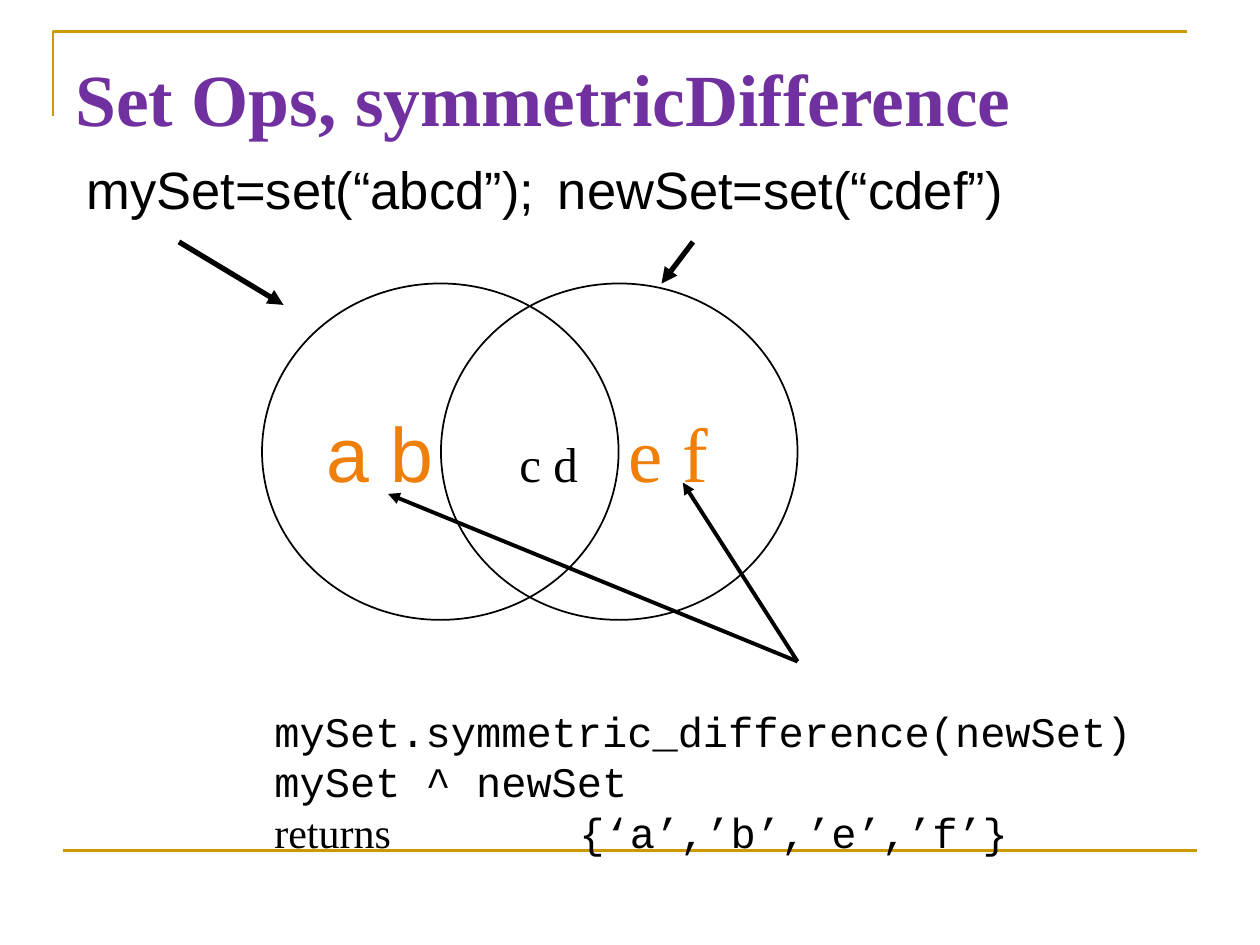
from pptx import Presentation
from pptx.util import Inches, Pt
from pptx.dml.color import RGBColor
from pptx.enum.shapes import MSO_SHAPE, MSO_CONNECTOR
from pptx.enum.text import PP_ALIGN, MSO_ANCHOR
from pptx.oxml.ns import qn
from lxml import etree

OVAL, STRAIGHT = MSO_SHAPE.OVAL, MSO_CONNECTOR.STRAIGHT
LEFT, CENTER, MIDDLE = PP_ALIGN.LEFT, PP_ALIGN.CENTER, MSO_ANCHOR.MIDDLE
COLORS = {"gold": "CC9900", "purple": "7030A0", "black": "000000", "orange": "F07F09"}
SERIF, SANS, MONO = "Times New Roman", "Arial", "Courier New"

deck = Presentation()
deck.slide_width, deck.slide_height = Inches(10), Inches(7.5)
page = deck.slides.add_slide(deck.slide_layouts[6])


def write(para, text, size, font, color="black", bold=False, tab=None):
    span = para.add_run()
    span.text = text
    span.font.size, span.font.name, span.font.bold = Pt(size), font, bold
    span.font.color.rgb = RGBColor.from_string(COLORS[color])
    if tab:
        stops = etree.SubElement(para._p.get_or_add_pPr(), qn("a:tabLst"))
        etree.SubElement(stops, qn("a:tab"), pos=str(Inches(tab)), algn="l")


def draw_line(start, end, width, color="black", arrow=True):
    line = page.shapes.add_connector(STRAIGHT, *[Inches(v) for v in start + end])
    line.line.width = Pt(width)
    line.line.color.rgb = RGBColor.from_string(COLORS[color])
    if arrow:
        etree.SubElement(line.line._get_or_add_ln(), qn("a:tailEnd"), type="triangle")
    etree.SubElement(line._element.spPr, qn("a:effectLst"))


# Frame: corner at the top, rule at the bottom
builder = page.shapes.build_freeform(Inches(0.42), Inches(0.92))
builder.add_line_segments([(Inches(0.42), Inches(0.25)), (Inches(9.42), Inches(0.25))], close=False)
corner = builder.convert_to_shape()
corner.shadow.inherit = False
corner.fill.background()
corner.line.width = Pt(1.5)
corner.line.color.rgb = RGBColor.from_string(COLORS["gold"])
draw_line((0.5, 6.75), (9.5, 6.75), 1.5, "gold", arrow=False)

# Title, set definitions and code
boxes = []
for left, top, width, height in [(0.5, 0.37, 9, 0.8), (0.59, 1.2, 9, 0.65), (2.08, 5.55, 7.5, 1.3)]:
    box = page.shapes.add_textbox(Inches(left), Inches(top), Inches(width), Inches(height))
    box.text_frame.word_wrap = True
    boxes.append(box.text_frame)
title, definitions, code = boxes
write(title.paragraphs[0], "Set Ops, symmetricDifference", 42, SERIF, "purple", bold=True)
write(definitions.paragraphs[0], "mySet=set(“abcd”);\tnewSet=set(“cdef”)", 30, SANS, tab=3.74)
write(code.paragraphs[0], "mySet.symmetric_difference(newSet)", 24, MONO)
write(code.add_paragraph(), "mySet ^ newSet", 24, MONO)
result = code.add_paragraph()
write(result, "returns\t", 24, SERIF, tab=2.42)
write(result, "{‘a’,’b’,’e’,’f’}", 24, MONO)
for para in code.paragraphs:
    para.line_spacing = Pt(28.8)

# Venn circles with their members
circles = [
    (3.5, CENTER, 0.88, [("e f", 44, SERIF, "orange", None)]),
    (2.08, LEFT, 0.1, [("a b", 44, SANS, "orange", 1.53), ("\tc d", 28, SERIF, "black", None)]),
]
for left, align, inset, members in circles:
    circle = page.shapes.add_shape(OVAL, Inches(left), Inches(2.25), Inches(2.83), Inches(2.67))
    circle.shadow.inherit = False
    circle.fill.background()
    circle.line.width = Pt(1)
    circle.line.color.rgb = RGBColor.from_string(COLORS["black"])
    frame = circle.text_frame
    frame.word_wrap = False
    frame.vertical_anchor = MIDDLE
    frame.margin_left = Inches(inset)
    para = frame.paragraphs[0]
    para.alignment = align
    for text, size, font, color, tab in members:
        write(para, text, size, font, color, tab=tab)

# Arrows to the sets and to the result members
draw_line((1.42, 1.92), (2.25, 2.42), 3)
draw_line((5.5, 1.92), (5.25, 2.25), 3)
for tip in [(3.08, 3.92), (5.42, 3.83)]:
    draw_line((6.33, 5.25), tip, 2.25)

deck.save("out.pptx")
